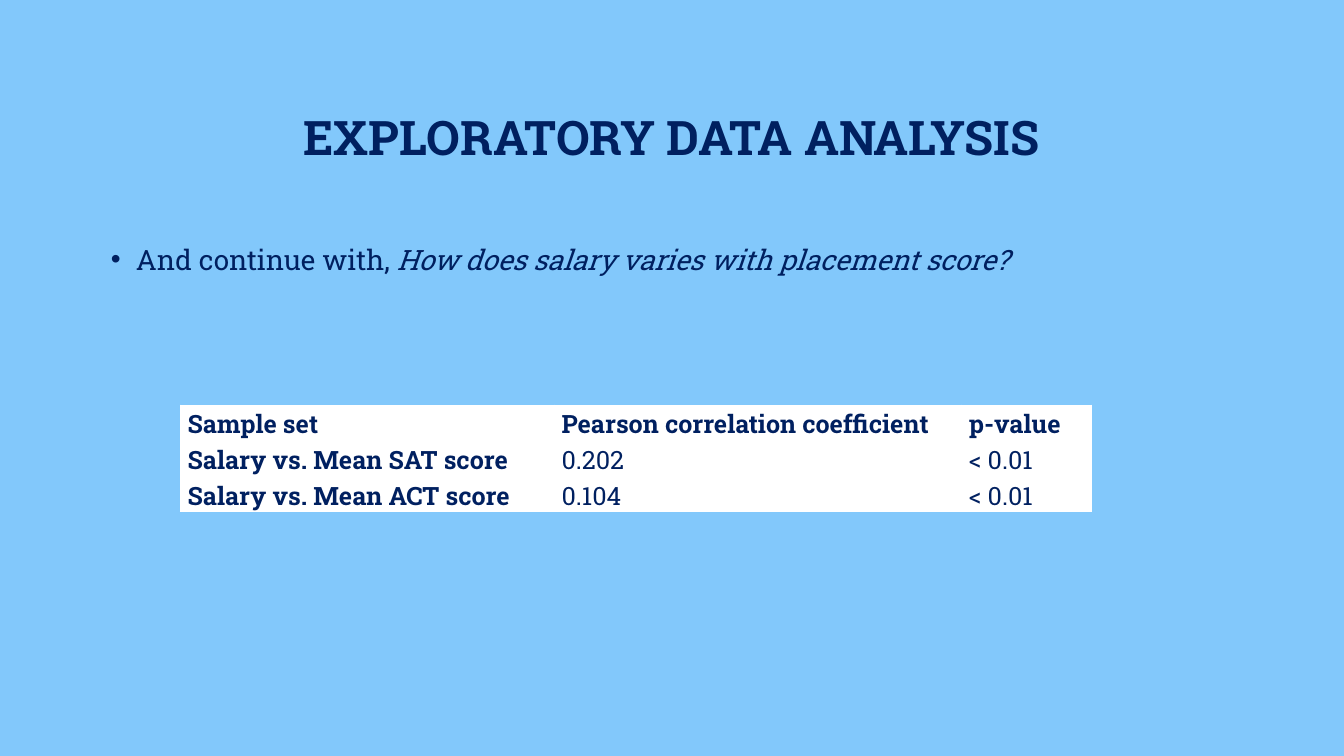
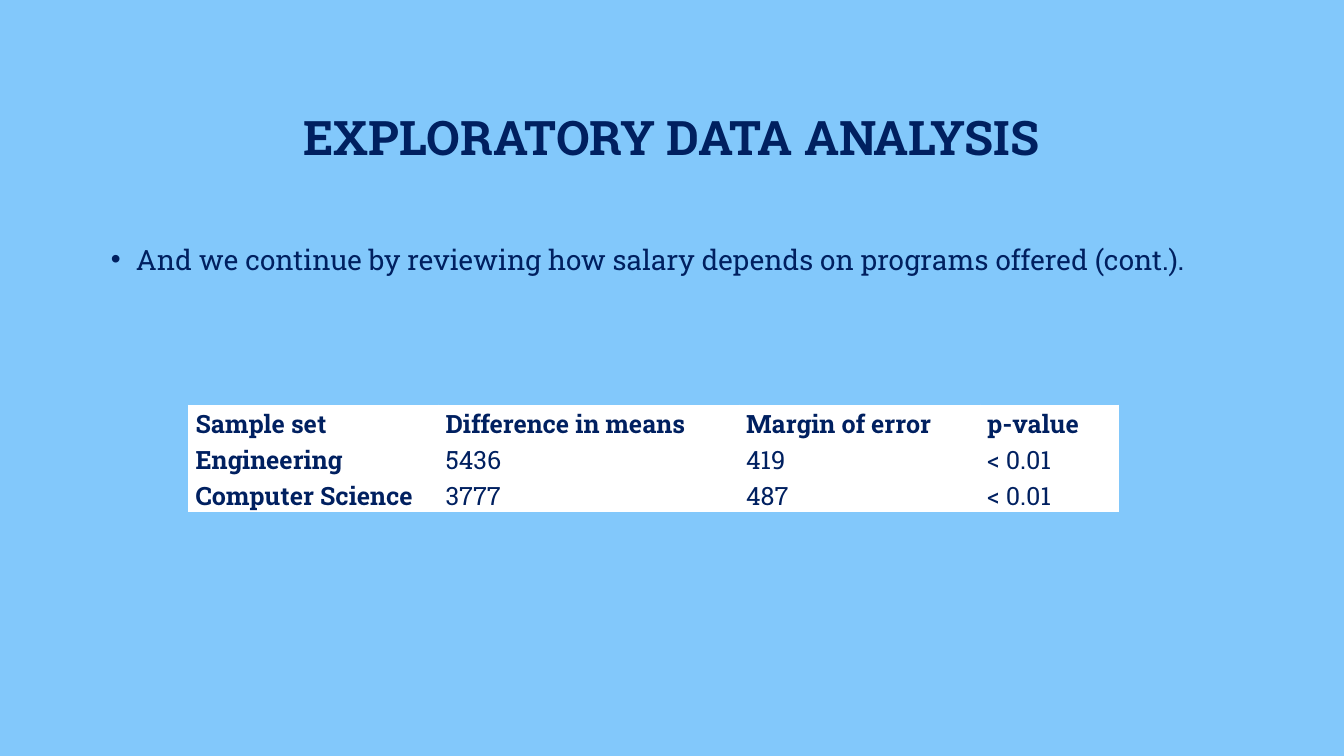
from dataclasses import dataclass

from lxml.etree import SubElement
from pptx import Presentation
from pptx.dml.color import RGBColor
from pptx.enum.shapes import MSO_SHAPE
from pptx.enum.text import MSO_ANCHOR, PP_ALIGN
from pptx.oxml.ns import qn
from pptx.util import Inches, Pt


@dataclass(frozen=True)
class Theme:
    background: str = "82C8FB"
    ink: str = "002060"
    paper: str = "FFFFFF"
    font: str = "Roboto Slab"
    title_size: int = 34
    body_size: int = 20
    table_size: int = 18


THEME = Theme()
TITLE = "EXPLORATORY DATA ANALYSIS"
TITLE_BOX = (1, 0.66, 11.32, 1.45)
BODY_BOX = (1, 2.29, 11.32, 4.04)
TABLE_TOP = 4.02
TABLE_SPACING = 1.07
FONT_LINE = 1.32  # natural line height of the font, in ems
ROW_HEIGHT = THEME.table_size * FONT_LINE * TABLE_SPACING / 72


def add_text(p, text, *, size, bold=False, italic=False):
    r = p.add_run()
    r.text = text
    r.font.name = THEME.font
    r.font.size = Pt(size)
    r.font.bold = bold
    r.font.italic = italic
    r.font.color.rgb = RGBColor.from_string(THEME.ink)


def set_fill(fill, color):
    fill.solid()
    fill.fore_color.rgb = RGBColor.from_string(color)


def add_title(s, box, filled):
    """Add the title, on a panel in the background colour if filled."""
    if filled:
        sp = s.shapes.add_shape(MSO_SHAPE.RECTANGLE, *map(Inches, box))
        sp.shadow.inherit = False
        sp.line.fill.background()
        set_fill(sp.fill, THEME.background)
    else:
        sp = s.shapes.add_textbox(*map(Inches, box))
    tf = sp.text_frame
    tf.word_wrap = True
    tf.vertical_anchor = MSO_ANCHOR.MIDDLE
    p = tf.paragraphs[0]
    p.alignment = PP_ALIGN.CENTER
    p.line_spacing = 0.9
    add_text(p, TITLE, size=THEME.title_size, bold=True)


def add_bullet(s, box, text, question=""):
    """Add one bullet; the question, if any, follows in italics."""
    tf = s.shapes.add_textbox(*map(Inches, box)).text_frame
    tf.word_wrap = True
    p = tf.paragraphs[0]
    p.line_spacing = 1.2
    p.space_before = Pt(10)
    pPr = p._p.get_or_add_pPr()
    pPr.set("marL", str(Inches(0.25)))
    pPr.set("indent", str(Inches(-0.25)))
    SubElement(pPr, qn("a:buFont"), typeface="Arial")
    SubElement(pPr, qn("a:buChar"), char="•")
    add_text(p, text, size=THEME.body_size)
    if question:
        add_text(p, question, size=THEME.body_size, italic=True)


def set_borders(cell, bottom):
    """Draw 1 pt borders, with the bottom one of the given width; call before filling."""
    tcPr = cell._tc.get_or_add_tcPr()
    for side, width in (("L", 1), ("R", 1), ("T", 1), ("B", bottom)):
        ln = SubElement(tcPr, qn(f"a:ln{side}"), w=str(Pt(width)))
        SubElement(SubElement(ln, qn("a:solidFill")), qn("a:srgbClr"), val=THEME.paper)


def fill_cell(cell, text, *, header, bold):
    set_borders(cell, bottom=3 if header else 1)
    set_fill(cell.fill, THEME.paper)
    cell.margin_left = cell.margin_right = Inches(0.07)
    cell.margin_top = cell.margin_bottom = 0
    p = cell.text_frame.paragraphs[0]
    p.line_spacing = TABLE_SPACING
    add_text(p, text, size=THEME.table_size, bold=bold)


def add_results(s, left, top, widths, rows):
    """Add a table whose first row and first column are bold."""
    box = (left, top, sum(widths), ROW_HEIGHT * len(rows))
    table = s.shapes.add_table(len(rows), len(widths), *map(Inches, box)).table
    for column, width in zip(table.columns, widths):
        column.width = Inches(width)
    for i, row in enumerate(rows):
        for j, text in enumerate(row):
            fill_cell(table.cell(i, j), text, header=i == 0, bold=i == 0 or j == 0)


def add_analysis_slide(prs, bullet, left, widths, rows, filled_title=False):
    s = prs.slides.add_slide(prs.slide_layouts[6])
    add_title(s, TITLE_BOX, filled_title)
    add_bullet(s, BODY_BOX, *bullet)
    add_results(s, left, TABLE_TOP, widths, rows)


def main():
    prs = Presentation()
    prs.slide_width, prs.slide_height = Inches(13.33), Inches(7.5)
    set_fill(prs.slide_master.background.fill, THEME.background)

    add_analysis_slide(
        prs,
        ("And continue with, ", "How does salary varies with placement score?"),
        left=1.79,
        widths=(3.71, 4.04, 1.29),
        rows=(
            ("Sample set", "Pearson correlation coefficient", "p-value"),
            ("Salary vs. Mean SAT score", "0.202", "< 0.01"),
            ("Salary vs. Mean ACT score", "0.104", "< 0.01"),
        ),
    )
    add_analysis_slide(
        prs,
        ("And we continue by reviewing how salary depends on programs offered (cont.).",),
        left=1.87,
        widths=(2.48, 2.98, 2.39, 1.37),
        rows=(
            ("Sample set", "Difference in means", "Margin of error", "p-value"),
            ("Engineering", "5436", "419", "< 0.01"),
            ("Computer Science", "3777", "487", "< 0.01"),
        ),
        filled_title=True,
    )
    prs.save("out.pptx")


if __name__ == "__main__":
    main()
